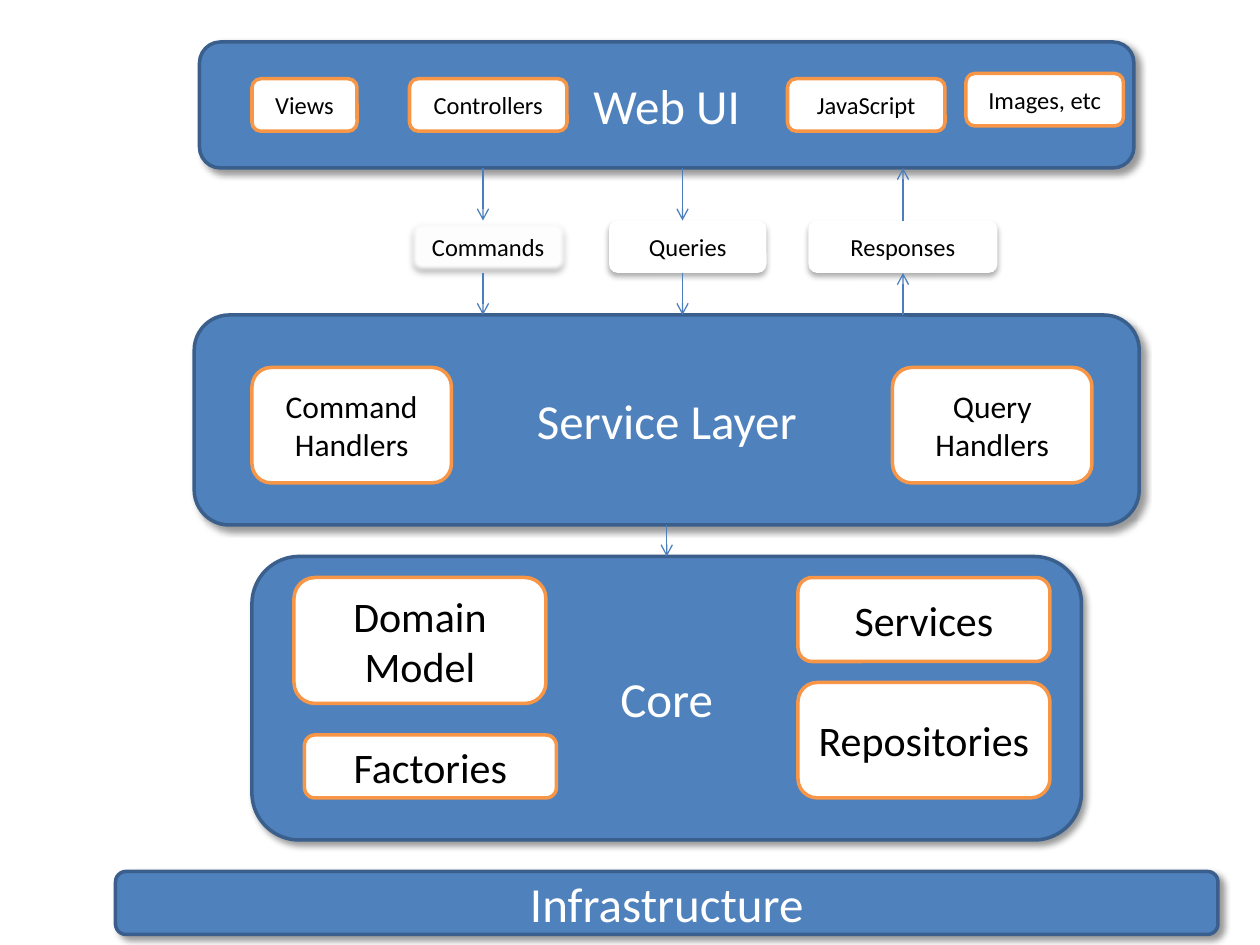
"""Build a slide of a layered web application architecture."""
from typing import NamedTuple, Optional

import lxml.etree
import pptx
import pptx.dml.color
import pptx.enum.shapes
import pptx.enum.text
import pptx.oxml.ns
import pptx.util

Pt = pptx.util.Pt
qn = pptx.oxml.ns.qn


class Shade(NamedTuple):
    alpha: int
    blur: float
    dist: float
    angle: int


class Style(NamedTuple):
    fill: str
    line: Optional[str]
    ink: str
    shade: Optional[Shade] = None
    soft: float = 0


class Box(NamedTuple):
    text: str
    left: float
    top: float
    width: float
    height: float
    size: float
    style: Style


class Arrow(NamedTuple):
    x: float
    start: float
    end: float


LAYER = Style("4F81BD", "3A5F8C", "FFFFFF", Shade(40, 4, 3, 45))
PART = Style("FFFFFF", "F79646", "000000")
NOTE = Style("FFFFFF", None, "000000", Shade(32, 3.5, 2.2, 90))
BLUR = NOTE._replace(soft=2.5)

BOXES = [
    Box("Web UI", 114, 24, 534, 72, 28, LAYER),
    Box("Service Layer", 111, 180, 540, 120, 28, LAYER),
    Box("Core", 144, 318, 474, 162, 28, LAYER),
    Box("Infrastructure", 66, 498, 630, 36, 28, LAYER),
    Box("Views", 144, 45, 60, 30, 14, PART),
    Box("Controllers", 234, 45, 90, 30, 14, PART),
    Box("JavaScript", 450, 45, 90, 30, 14, PART),
    Box("Images, etc", 552, 42, 90, 30, 14, PART),
    Box("Commands", 234, 126, 90, 30, 14, BLUR),
    Box("Queries", 348, 126, 90, 30, 14, NOTE),
    Box("Responses", 462, 126, 108, 30, 14, NOTE),
    Box("Command Handlers", 144, 210, 114, 66, 18, PART),
    Box("Query Handlers", 510, 210, 114, 66, 18, PART),
    Box("Domain Model", 168, 330, 144, 72, 24, PART),
    Box("Factories", 174, 420, 144, 36, 24, PART),
    Box("Services", 456, 330, 144, 48, 24, PART),
    Box("Repositories", 456, 390, 144, 66, 24, PART),
]

GAPS = [(96, 126), (156, 180)]
ARROWS = [Arrow(x, top, end) for x in (276, 390) for top, end in GAPS]
ARROWS += [Arrow(516, end, top) for top, end in GAPS]
ARROWS.append(Arrow(381, 300, 318))


def tint(code: str) -> pptx.dml.color.RGBColor:
    return pptx.dml.color.RGBColor.from_string(code)


def add_node(base, tag: str, **attrs):
    texts = {key: str(val) for key, val in attrs.items()}
    return lxml.etree.SubElement(base, qn(tag), texts)


def add_glow(shape, style: Style) -> None:
    shape.shadow.inherit = False
    glow = shape.element.spPr.find(qn("a:effectLst"))
    if style.shade:
        shade = style.shade
        cast = add_node(glow, "a:outerShdw", blurRad=int(Pt(shade.blur)),
                        dist=int(Pt(shade.dist)), dir=shade.angle * 60000,
                        rotWithShape=0)
        ink = add_node(cast, "a:srgbClr", val="000000")
        add_node(ink, "a:alpha", val=shade.alpha * 1000)
    if style.soft:
        add_node(glow, "a:softEdge", rad=int(Pt(style.soft)))


def add_box(slide, box: Box) -> None:
    shape = slide.shapes.add_shape(
        pptx.enum.shapes.MSO_SHAPE.ROUNDED_RECTANGLE,
        Pt(box.left), Pt(box.top), Pt(box.width), Pt(box.height))
    style = box.style
    shape.fill.solid()
    shape.fill.fore_color.rgb = tint(style.fill)
    if style.line:
        shape.line.color.rgb = tint(style.line)
        shape.line.width = Pt(2)
    else:
        shape.line.fill.background()
    add_glow(shape, style)
    frame = shape.text_frame
    frame.word_wrap = True
    frame.vertical_anchor = pptx.enum.text.MSO_ANCHOR.MIDDLE
    para = frame.paragraphs[0]
    para.alignment = pptx.enum.text.PP_ALIGN.CENTER
    run = para.add_run()
    run.text = box.text
    run.font.name = "Calibri"
    run.font.size = Pt(box.size)
    run.font.color.rgb = tint(style.ink)


def add_arrow(slide, arrow: Arrow) -> None:
    link = slide.shapes.add_connector(
        pptx.enum.shapes.MSO_CONNECTOR.STRAIGHT,
        Pt(arrow.x), Pt(arrow.start), Pt(arrow.x), Pt(arrow.end))
    link.line.color.rgb = tint("4B7EBC")
    link.line.width = Pt(0.75)
    props = link.element.spPr
    add_node(props.find(qn("a:ln")), "a:tailEnd", type="arrow")
    add_node(props, "a:effectLst")


def main() -> None:
    deck = pptx.Presentation()
    deck.slide_width, deck.slide_height = Pt(720), Pt(540)
    slide = deck.slides.add_slide(deck.slide_layouts[6])
    for box in BOXES:
        add_box(slide, box)
    for arrow in ARROWS:
        add_arrow(slide, arrow)
    deck.save("out.pptx")


main()
